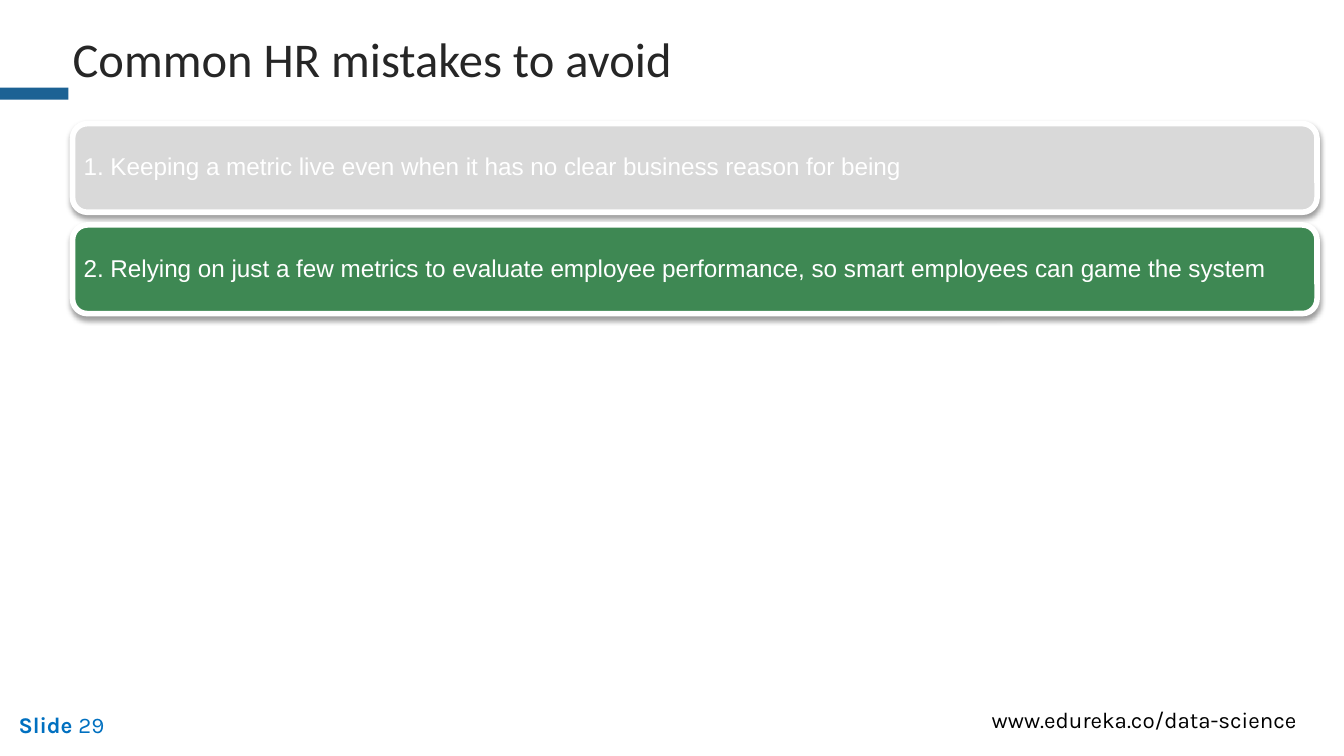
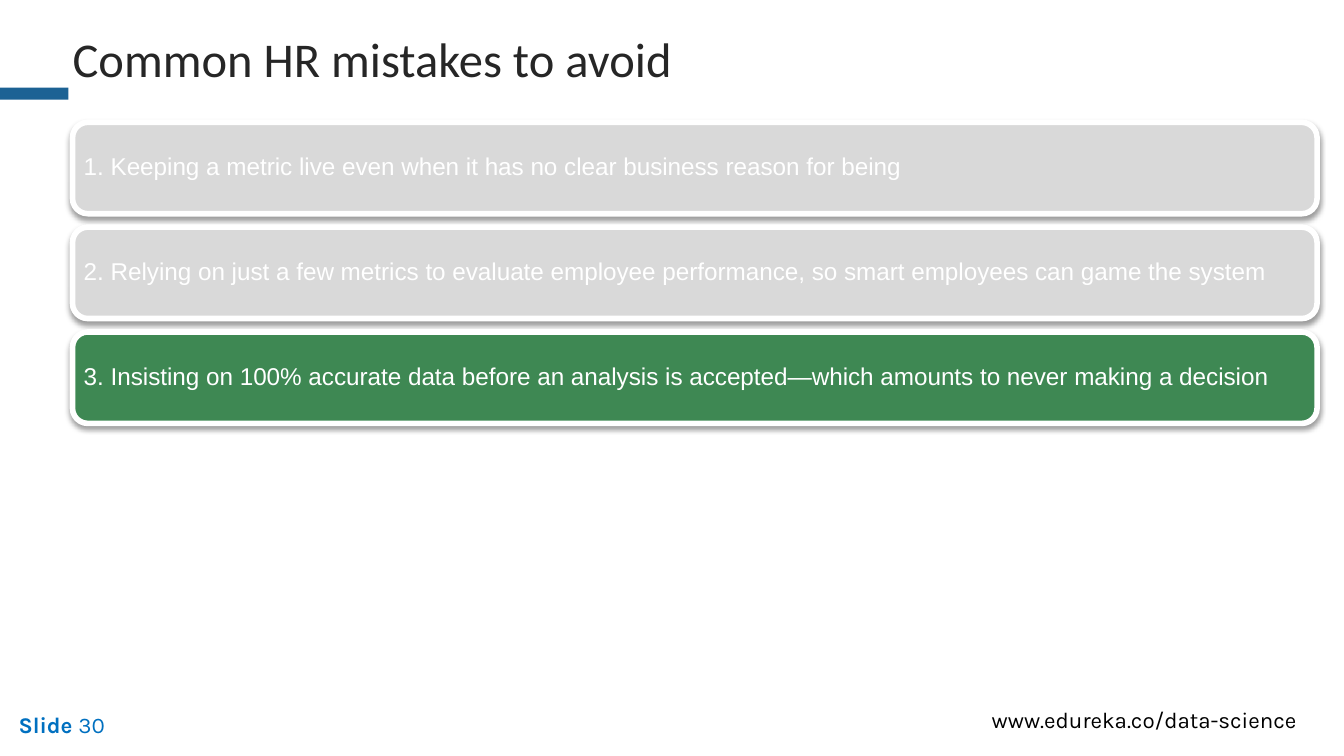
from dataclasses import dataclass

from lxml.etree import SubElement
from pptx import Presentation
from pptx.dml.color import RGBColor
from pptx.enum.shapes import MSO_SHAPE
from pptx.enum.text import MSO_ANCHOR, MSO_AUTO_SIZE, PP_ALIGN
from pptx.oxml.ns import qn
from pptx.util import Inches, Pt


@dataclass(frozen=True)
class Theme:
    band: str = "1C6294"
    number: str = "0070C0"
    address: str = "000000"
    title: str = "262626"
    seen: str = "D9D9D9"
    current: str = "3E8853"
    white: str = "FFFFFF"
    shadow: str = "000000"
    title_size: int = 26
    card_size: int = 13
    footer_size: int = 12
    title_font: str = "Calibri"
    card_font: str = "Arial"
    footer_font: str = "Karla"


theme = Theme()
presentation = Presentation()
presentation.slide_width = Inches(10)
presentation.slide_height = Inches(5.625)
column = presentation.slide_width / 100
row = presentation.slide_height / 100


def box(left, top, width, height):
    return [round(length) for length in (left * column, top * row, width * column, height * row)]


def add_run(paragraph, text, font, size, color, bold=False):
    run = paragraph.add_run()
    run.text = text
    run.font.name = font
    run.font.size = Pt(size)
    run.font.bold = bold
    run.font.color.rgb = RGBColor.from_string(color)


mistakes = [
    "1. Keeping a metric live even when it has no clear business reason for being",
    "2. Relying on just a few metrics to evaluate employee performance, so smart employees can game the system",
    "3. Insisting on 100% accurate data before an analysis is accepted—which amounts to never making a decision",
]
slides = [
    {"number": 29, "shown": 2, "top": 16.36, "height": 11.73, "pitch": 13.4},
    {"number": 30, "shown": 3, "top": 16.18, "height": 12.09, "pitch": 13.87},
]

for content in slides:
    slide = presentation.slides.add_slide(presentation.slide_layouts[5])

    band = slide.shapes.add_shape(MSO_SHAPE.RECTANGLE, *box(0, 11.6, 5.1, 1.6))
    band.shadow.inherit = False
    band.fill.solid()
    band.fill.fore_color.rgb = RGBColor.from_string(theme.band)
    band.line.fill.background()

    footers = [
        (box(0.4, 93.2, 15.8, 5.4), theme.number, [("Slide ", True), (str(content["number"]), False)]),
        (box(72.8, 92.6, 24.9, 5.4), theme.address, [("www.edureka.co/data-science", False)]),
    ]
    for position, color, pieces in footers:
        footer = slide.shapes.add_textbox(*position)
        footer.text_frame.word_wrap = True
        for text, bold in pieces:
            add_run(footer.text_frame.paragraphs[0], text, theme.footer_font, theme.footer_size, color, bold)

    for index, mistake in enumerate(mistakes[:content["shown"]]):
        top = content["top"] + index * content["pitch"]
        card = slide.shapes.add_shape(MSO_SHAPE.ROUNDED_RECTANGLE, *box(5.4, top, 92.6, content["height"]))
        is_current = index == content["shown"] - 1
        card.fill.solid()
        card.fill.fore_color.rgb = RGBColor.from_string(theme.current if is_current else theme.seen)
        card.line.color.rgb = RGBColor.from_string(theme.white)
        card.line.width = Pt(3)

        card.shadow.inherit = False
        effects = card.element.spPr.find(qn("a:effectLst"))
        shadow = SubElement(effects, qn("a:outerShdw"), blurRad=str(Pt(3.1)), dist=str(Pt(1.6)),
                            dir="5400000", rotWithShape="0")
        shadow_color = SubElement(shadow, qn("a:srgbClr"), val=theme.shadow)
        SubElement(shadow_color, qn("a:alpha"), val="38000")

        frame = card.text_frame
        frame.word_wrap = True
        frame.vertical_anchor = MSO_ANCHOR.MIDDLE
        frame.margin_left = frame.margin_right = Inches(0.05)
        frame.margin_top = frame.margin_bottom = Inches(0.05)
        paragraph = frame.paragraphs[0]
        paragraph.alignment = PP_ALIGN.LEFT
        paragraph.line_spacing = 0.9
        paragraph.space_after = Pt(4.5)
        add_run(paragraph, mistake, theme.card_font, theme.card_size, theme.white)

    title = slide.shapes.title
    title.left, title.top, title.width, title.height = box(4.4, 3, 69.2, 8.6)
    title.text_frame.word_wrap = True
    title.text_frame.auto_size = MSO_AUTO_SIZE.NONE
    title.text_frame.vertical_anchor = MSO_ANCHOR.TOP
    heading = title.text_frame.paragraphs[0]
    heading.alignment = PP_ALIGN.LEFT
    add_run(heading, "Common HR mistakes to avoid", theme.title_font, theme.title_size, theme.title)

presentation.save("out.pptx")
